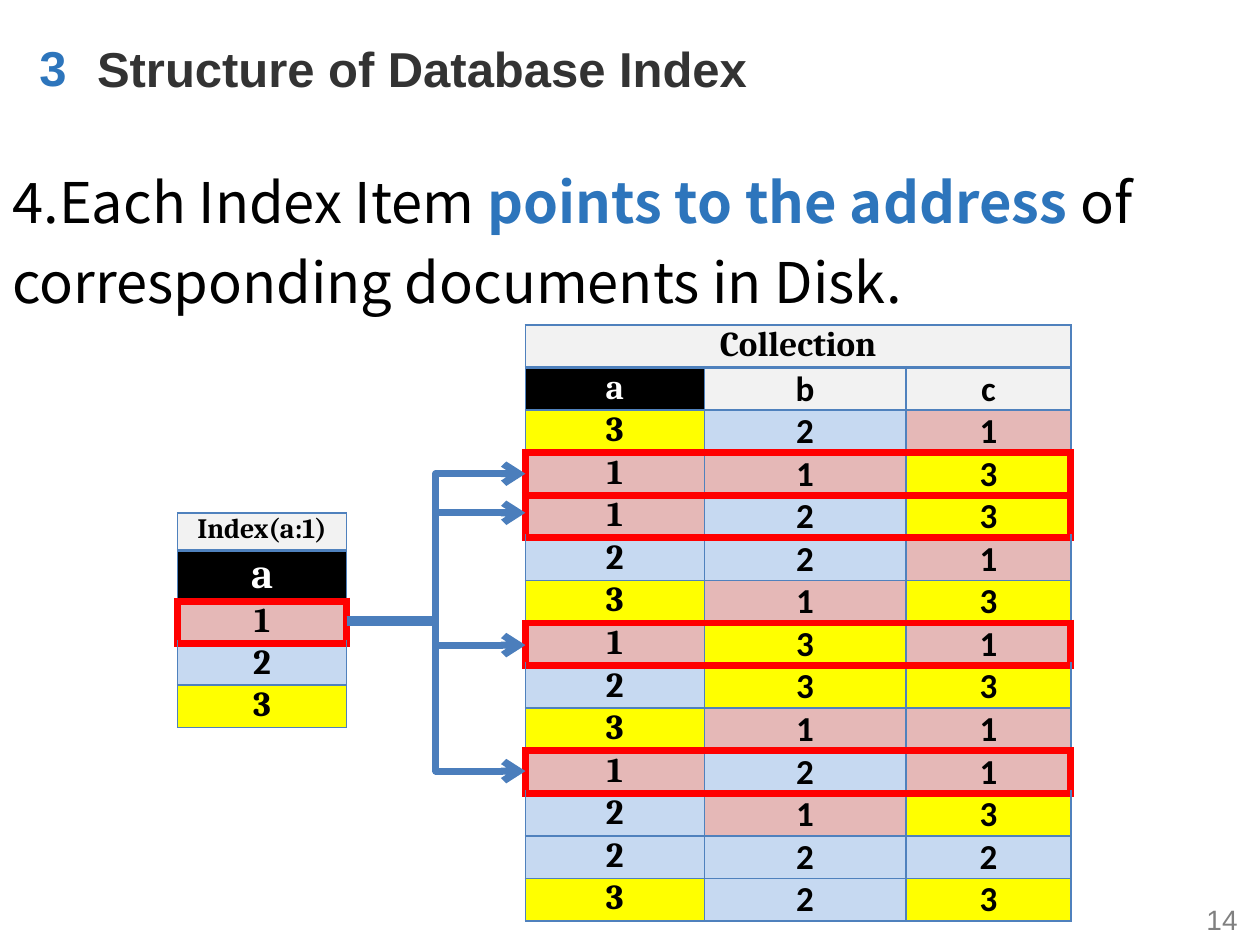
from lxml.etree import SubElement
from pptx import Presentation
from pptx.dml.color import RGBColor
from pptx.enum.shapes import MSO_CONNECTOR
from pptx.enum.text import MSO_ANCHOR, PP_ALIGN
from pptx.oxml import parse_xml
from pptx.oxml.ns import nsdecls, qn
from pptx.util import Inches, Pt

ACCENT = RGBColor(0x2D, 0x75, 0xBC)
DARK = RGBColor(0x33, 0x33, 0x33)
GRAY = RGBColor(0x80, 0x80, 0x80)
BLACK = RGBColor(0x00, 0x00, 0x00)
WHITE = RGBColor(0xFF, 0xFF, 0xFF)
HEADER = RGBColor(0xF2, 0xF2, 0xF2)
GRID = RGBColor(0x4F, 0x81, 0xBD)
RED = RGBColor(0xFF, 0x00, 0x00)
ARROW = RGBColor(0x4B, 0x7E, 0xBC)
VALUE_FILLS = {
    "1": RGBColor(0xE5, 0xB8, 0xB7),
    "2": RGBColor(0xC6, 0xD9, 0xF1),
    "3": RGBColor(0xFF, 0xFF, 0x00),
}
THIN, MEDIUM, THICK = (GRID, 1), (GRID, 2.25), (RED, 4.5)


def write_line(box, text, font_name, size, color, bold, align):
    frame = box.text_frame
    frame.word_wrap = True
    frame.vertical_anchor = MSO_ANCHOR.MIDDLE
    para = frame.paragraphs[0]
    para.text = text
    para.alignment = align
    para.font.name = font_name
    para.font.size = Pt(size)
    para.font.color.rgb = color
    para.font.bold = bold


def add_grid(page, left, top, widths, heights, rows, header_sizes):
    """Add a table whose rows starting with 1 are framed in red."""
    grid = page.shapes.add_table(
        len(rows), len(widths), Inches(left), Inches(top),
        Inches(sum(widths)), Inches(sum(heights))).table
    grid.first_row = grid.horz_banding = False
    for column, width in zip(grid.columns, widths):
        column.width = Inches(width)
    for row, height in zip(grid.rows, heights):
        row.height = Inches(height)

    framed = [row[0] == "1" for row in rows]
    rules = [THIN, MEDIUM] + [THIN] * (len(rows) - 1)
    for i, is_framed in enumerate(framed):
        if is_framed:
            rules[i] = rules[i + 1] = THICK

    last = len(widths) - 1
    for i, row in enumerate(rows):
        for j, text in enumerate(row):
            cell = grid.cell(i, j)
            cell.margin_left = cell.margin_right = Inches(0.08)
            cell.margin_top = cell.margin_bottom = 0
            cell.fill.solid()
            cell.fill.fore_color.rgb = VALUE_FILLS.get(text, BLACK if text == "a" else HEADER)
            para = cell.text_frame.paragraphs[0]
            para.text = text
            para.alignment = PP_ALIGN.CENTER
            para.font.name = "Cambria" if j == 0 else "Calibri"
            para.font.size = Pt(header_sizes[i] if i < 2 else 20)
            para.font.bold = True
            para.font.color.rgb = WHITE if text == "a" else BLACK

            edges = {
                "lnL": THICK if framed[i] and j == 0 else THIN,
                "lnR": THICK if framed[i] and j == last else THIN,
                "lnT": rules[i],
                "lnB": rules[i + 1],
            }
            properties = cell._tc.get_or_add_tcPr()
            for position, (tag, (color, width)) in enumerate(edges.items()):
                properties.insert(position, parse_xml(
                    f'<a:{tag} {nsdecls("a")} w="{Pt(width)}"><a:solidFill>'
                    f'<a:srgbClr val="{color}"/></a:solidFill></a:{tag}>'))
    return grid


deck = Presentation()
deck.slide_width, deck.slide_height = Inches(10), Inches(7.5)
page = deck.slides.add_slide(deck.slide_layouts[5])

title = page.shapes.title
title.left, title.top = Inches(0.67), Inches(0.25)
title.width, title.height = Inches(8.75), Inches(0.57)
write_line(title, "Structure of Database Index", "Arial", 28, DARK, True, PP_ALIGN.LEFT)

section = page.shapes.add_textbox(Inches(0.17), Inches(0.25), Inches(0.5), Inches(0.57))
write_line(section, "3", "Arial", 28, ACCENT, True, PP_ALIGN.CENTER)

page_number = page.shapes.add_textbox(Inches(9.42), Inches(7.1), Inches(0.5), Inches(0.4))
write_line(page_number, "14", "Arial", 16, GRAY, False, PP_ALIGN.RIGHT)

statement = page.shapes.add_textbox(0, Inches(1.17), Inches(10), Inches(1.34))
statement.text_frame.word_wrap = True
para = statement.text_frame.paragraphs[0]
para.line_spacing = 1.2
para.font.name = "Noto Sans CJK SC"
para.font.size = Pt(32)
for text, color, bold in [
    ("4.Each Index Item ", BLACK, False),
    ("points to the address ", ACCENT, True),
    ("of corresponding documents in Disk.", BLACK, False),
]:
    span = para.add_run()
    span.text = text
    span.font.color.rgb = color
    span.font.bold = bold

documents = ["321", "113", "123", "221", "313", "131", "233",
             "311", "121", "213", "222", "323"]
collection_rows = [["Collection", "", ""], list("abc")] + [list(doc) for doc in documents]
row_count = len(collection_rows)
collection = add_grid(page, 4.17, 2.58, [1.42, 1.6, 1.31], [4.73 / row_count] * row_count,
                      collection_rows, [20, 20])
collection.cell(0, 0).merge(collection.cell(0, 2))

add_grid(page, 1.41, 4.07, [1.34], [0.3, 0.4, 0.33, 0.33, 0.33],
         [["Index(a:1)"], ["a"], ["1"], ["2"], ["3"]], [16, 24])

for start_y, end_y in [(4.94, 3.76), (4.92, 4.07), (4.92, 5.12), (4.92, 6.12)]:
    pointer = page.shapes.add_connector(
        MSO_CONNECTOR.ELBOW, Inches(2.75), Inches(start_y), Inches(4.17), Inches(end_y))
    pointer.line.color.rgb = ARROW
    pointer.line.width = Pt(4)
    SubElement(pointer.line._get_or_add_ln(), qn("a:tailEnd"), type="arrow")
    SubElement(pointer._element.spPr, qn("a:effectLst"))

deck.save("out.pptx")
